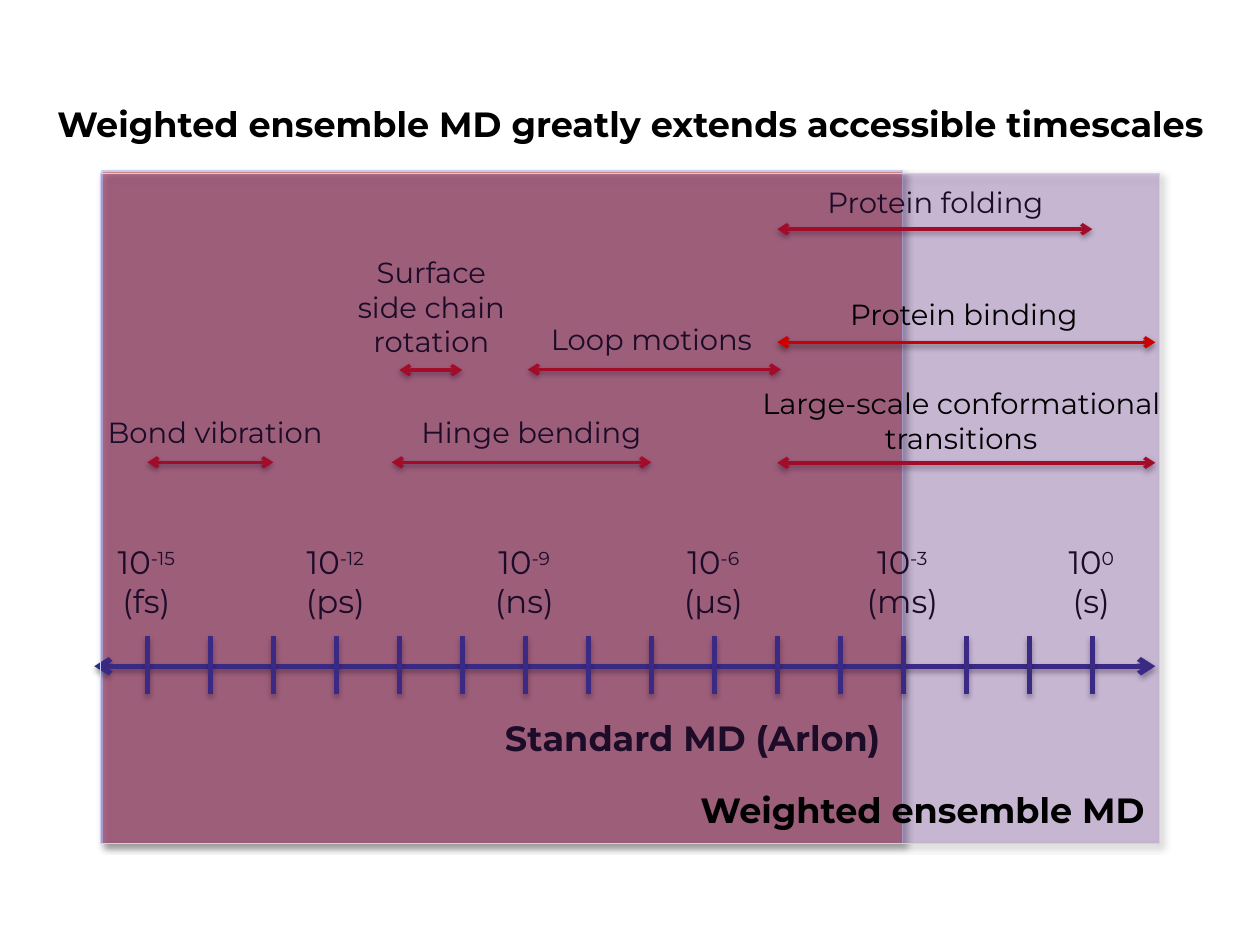
from lxml.etree import SubElement as Sub
from pptx import Presentation
from pptx.dml.color import RGBColor as RGB
from pptx.enum.shapes import MSO_CONNECTOR as Con, MSO_SHAPE as Kind
from pptx.enum.text import MSO_ANCHOR as Anchor, MSO_AUTO_SIZE as Auto, PP_ALIGN as Align
from pptx.oxml.ns import qn
from pptx.util import Cm, Pt

FONT = "Montserrat"
BLACK = RGB(0x00, 0x00, 0x00)
RED = RGB(0xCC, 0x00, 0x00)
BLUE = RGB(0x2D, 0x2D, 0x8A)
ROSE = RGB(0xCC, 0x66, 0x66)
PURPLE = RGB(0x70, 0x30, 0xA0)
EDGE = RGB(0xCE, 0xCE, 0xEF)

BOX = (2.03, 3.45, 21.34, 13.56)
STEP, START, LOW = 1.27, 0.94, -15
UNITS = ["fs", "ps", "ns", "μs", "ms", "s"]
MOTIONS = [
    ("Bond vibration", (-0.16, 4.78, 4.93, 0.97), (-15, -13, 5.87)),
    ("Hinge bending", (6.18, 4.78, 5, 0.97), (-11.12, -7, 5.87)),
    ("Surface\nside chain\nrotation", (4.9, 1.55, 3.53, 2.39), (-11, -10, 4.01)),
    ("Loop motions", (8.79, 2.9, 4.62, 0.97), (-8.96, -4.94, 4)),
    ("Protein folding", (14.35, 0.15, 4.95, 0.97), (-5, 0, 1.17)),
]
BINDING = ("Protein binding", (14.81, 2.41, 5.18, 0.97), (-5, 1, 3.45))
CHANGE = "Large-scale conformational transitions"


def spot(power):
    """Return the offset in cm of a power of ten on the time axis."""
    return START + STEP * (power - LOW)


def shade(shape, alpha, blur, dist, angle):
    """Give a shape or line an outer shadow."""
    effects = Sub(shape._element.spPr, qn("a:effectLst"))
    outer = Sub(effects, qn("a:outerShdw"), blurRad=str(Pt(blur)), dist=str(Pt(dist)),
                dir=str(angle * 60000), algn="tl", rotWithShape="0")
    color = Sub(outer, qn("a:srgbClr"), val=str(BLACK))
    Sub(color, qn("a:alpha"), val=str(alpha * 1000))


def style(para, size, bold=False):
    """Format every run of a paragraph."""
    for run in para.runs:
        font = run.font
        font.name, font.size, font.bold = FONT, Pt(size), bold
        font.color.rgb = BLACK


def write(slide, box, area, text, size, bold=False, align=Align.CENTER, wrap=False):
    """Add a text box within the box and return its frame."""
    left, top, wide, high = area
    frame = slide.shapes.add_textbox(
        Cm(box[0] + left), Cm(box[1] + top), Cm(wide), Cm(high)).text_frame
    frame.text = text
    frame.word_wrap = wrap
    frame.auto_size = Auto.SHAPE_TO_FIT_TEXT
    for para in frame.paragraphs:
        para.alignment = align
        style(para, size, bold)
    return frame


def rule(slide, box, start, end, color, width, alpha, dist, heads=False):
    """Draw a shadowed line, with arrowheads if asked."""
    ends = [Cm(base + off) for point in (start, end) for base, off in zip(box, point)]
    line = slide.shapes.add_connector(Con.STRAIGHT, *ends)
    line.line.color.rgb = color
    line.line.width = Pt(width)
    if heads:
        for tag in ("a:headEnd", "a:tailEnd"):
            Sub(line.line._get_or_add_ln(), qn(tag), type="arrow")
    shade(line, alpha, 3.1, dist, 90)


def panel(slide, box, color, alpha):
    """Fill the box with a translucent shadowed rectangle."""
    rect = slide.shapes.add_shape(Kind.RECTANGLE, *map(Cm, box))
    rect.fill.solid()
    rect.fill.fore_color.rgb = color
    tint = rect._element.spPr.find(qn("a:solidFill"))[0]
    Sub(tint, qn("a:alpha"), val=str(alpha * 1000))
    rect.line.color.rgb = EDGE
    rect.line.width = Pt(0.75)
    shade(rect, 43, 4, 3, 45)


def axis(slide, box):
    """Draw the time axis with its ticks and unit labels."""
    rule(slide, box, (-0.13, 9.98), (spot(1), 9.98), BLUE, 3, 35, 1.8, True)
    for power in range(LOW, 1):
        rule(slide, box, (spot(power), 9.37), (spot(power), 10.55), BLUE, 3, 35, 1.8)
    for power, unit in zip(range(LOW, 1, 3), UNITS):
        area = (spot(power) - 1.22, 7.36, 2.4, 1.83)
        frame = write(slide, box, area, f"10\n({unit})", 18.5)
        para = frame.paragraphs[0]
        run = para.add_run()
        run.text = str(power)
        style(para, 18.5)
        run._r.get_or_add_rPr().set("baseline", "30000")


def arrow(slide, box, first, last, high):
    """Draw a red arrow between two powers of ten."""
    rule(slide, box, (spot(first), high), (spot(last), high), RED, 2, 38, 1.6, True)


def motion(slide, box, text, area, span):
    """Draw one labelled arrow of a molecular motion."""
    arrow(slide, box, *span)
    write(slide, box, area, text, 16.6)


def head(slide, box, text):
    """Place and format the title."""
    title = slide.shapes.title
    title.left, title.top, title.width, title.height = map(Cm, box)
    frame = title.text_frame
    frame.text = text
    frame.vertical_anchor = Anchor.MIDDLE
    frame.paragraphs[0].alignment = Align.CENTER
    style(frame.paragraphs[0], 20, True)


def main():
    """Build and save the slide."""
    deck = Presentation()
    deck.slide_width, deck.slide_height = Cm(25.4), Cm(19.05)
    slide = deck.slides.add_slide(deck.slide_layouts[5])
    head(slide, (0.23, 1.02, 24.97, 2.92),
         "Weighted ensemble MD greatly extends accessible timescales")
    left, top, wide, high = BOX
    panel(slide, (left + 0.03, top, 16.13, high), ROSE, 70)
    axis(slide, BOX)
    for item in MOTIONS:
        motion(slide, BOX, *item)
    arrow(slide, BOX, -5, 1, 5.88)
    write(slide, BOX, (7.9, 10.87, 8.48, 1.12), "Standard MD (Arlon)",
          20, True, Align.LEFT, True)
    panel(slide, (left, top + 0.05, wide, high - 0.05), PURPLE, 25)
    write(slide, BOX, (11.84, 12.32, 10.9, 1.12), "Weighted ensemble MD",
          20, True, Align.LEFT, True)
    motion(slide, BOX, *BINDING)
    write(slide, BOX, (13, 4.19, 8.69, 1.68), CHANGE, 16.6, wrap=True)
    deck.save("out.pptx")


if __name__ == "__main__":
    main()
